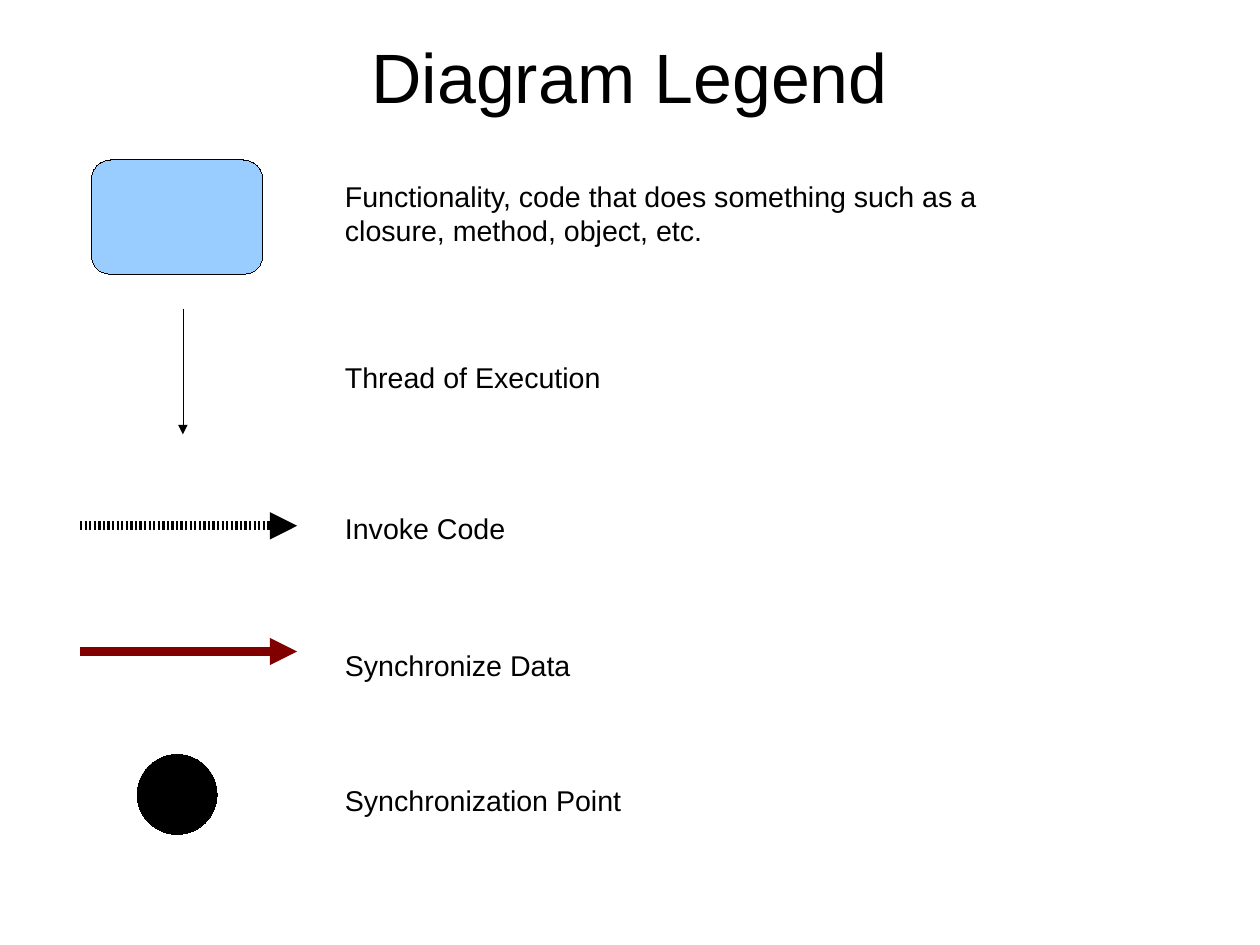
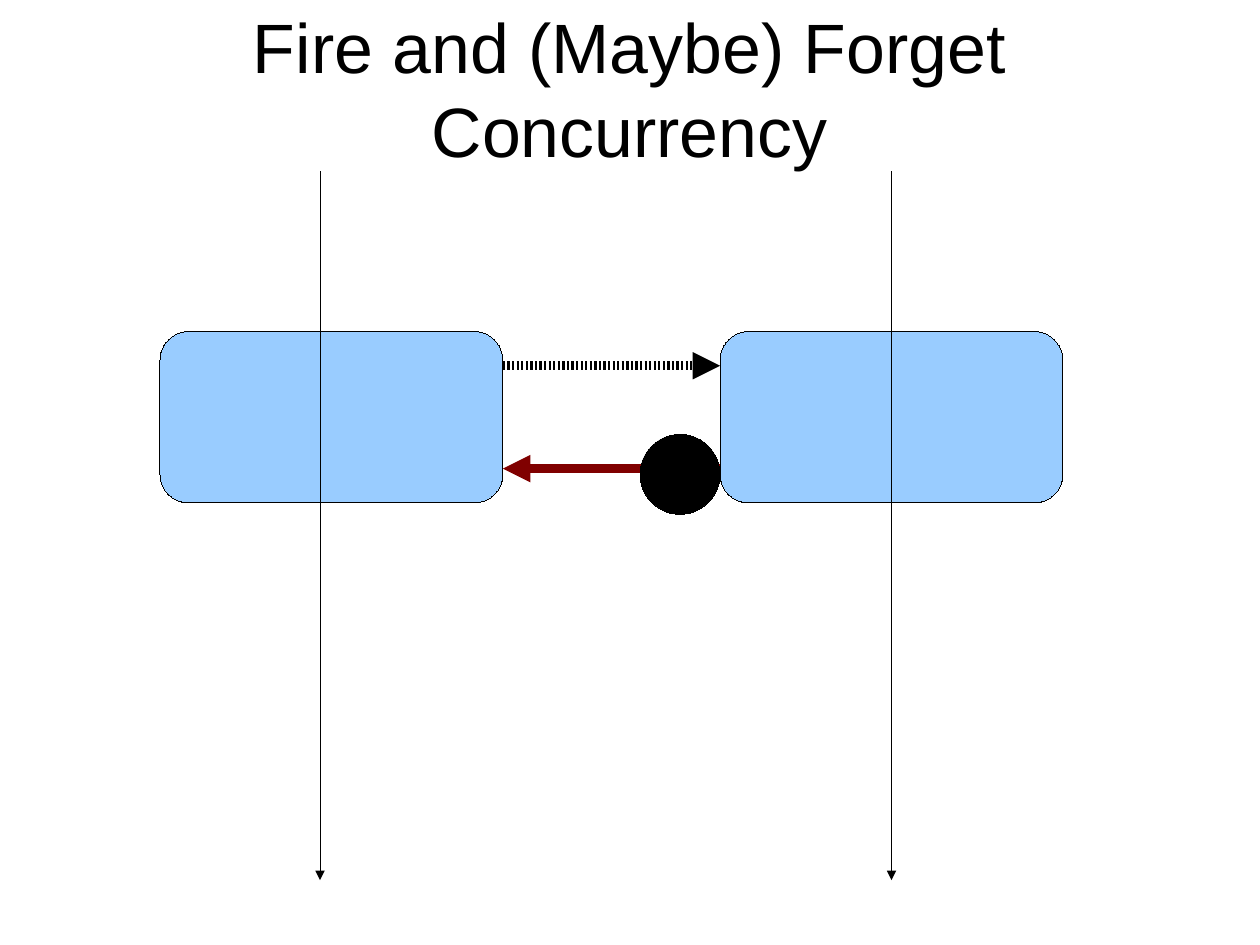
"""Build two slides: a legend of diagram symbols and a concurrency diagram."""
from lxml import etree
from pptx import Presentation
from pptx.dml.color import RGBColor
from pptx.enum.shapes import MSO_CONNECTOR, MSO_SHAPE
from pptx.enum.text import MSO_ANCHOR, PP_ALIGN
from pptx.oxml.ns import qn
from pptx.util import Pt

STRAIGHT = MSO_CONNECTOR.STRAIGHT
ROUNDED, OVAL = MSO_SHAPE.ROUNDED_RECTANGLE, MSO_SHAPE.OVAL
TOP, MIDDLE = MSO_ANCHOR.TOP, MSO_ANCHOR.MIDDLE
LEFT, CENTER = PP_ALIGN.LEFT, PP_ALIGN.CENTER

BLACK = RGBColor(0x00, 0x00, 0x00)
CODE_BLUE = RGBColor(0x99, 0xCC, 0xFF)
SYNC_RED = RGBColor(0x80, 0x00, 0x00)

FONT = "Arial"
SLIDE_WIDTH, SLIDE_HEIGHT = 793.7, 595.28
TITLE_LEFT, TITLE_WIDTH = 39.6, 714.24
SYNC_POINT_SIZE = 50.4
LABEL_LEFT = 208.8
HAIRLINE, THICK = 0.01, 5.75

ARROW_STYLES = {
    "thread": dict(color=BLACK, width=HAIRLINE),
    "invoke": dict(color=BLACK, width=THICK, dashed=True),
    "sync": dict(color=SYNC_RED, width=THICK),
}

LEGEND = {
    "title": ("Diagram Legend", 23.04, 48.96),
    "code": [(57.6, 100.8, 108, 72)],
    "arrows": [
        ("thread", 115.2, 194.4, 115.2, 273.6),
        ("invoke", 50.4, 331.2, 187.2, 331.2),
        ("sync", 50.4, 410.4, 187.2, 410.4),
    ],
    "sync_points": [(86.4, 475.2)],
    "labels": [
        ("Functionality, code that does something such as a closure, method, object, etc.",
         108, 453.6, 50.4),
        ("Thread of Execution", 221.76, 453.6, 30.24),
        ("Invoke Code", 316.8, 360, 30.24),
        ("Synchronize Data", 403.2, 417.6, 30.24),
        ("Synchronization Point", 488.16, 259.2, 30.24),
    ],
}

CONCURRENCY = {
    "title": ("Fire and (Maybe) Forget Concurrency", 5.76, 98.64),
    "code": [(left, 208.8, 216, 108) for left in (100.8, 453.6)],
    "arrows": [("thread", x, 108, x, 554.4) for x in (201.6, 561.6)] + [
        ("sync", 453.6, 295.2, 316.8, 295.2),
        ("invoke", 316.8, 230.4, 453.6, 230.4),
    ],
    "sync_points": [(403.2, 273.6)],
    "labels": [],
}


def add_text(slide, text, left, top, width, height, *, size=18,
             align=LEFT, anchor=TOP, inset_x=8.5, inset_y=4.75):
    frame = slide.shapes.add_textbox(Pt(left), Pt(top), Pt(width), Pt(height)).text_frame
    frame.word_wrap = True
    frame.vertical_anchor = anchor
    frame.margin_left = frame.margin_right = Pt(inset_x)
    frame.margin_top = frame.margin_bottom = Pt(inset_y)
    paragraph = frame.paragraphs[0]
    paragraph.alignment = align
    run = paragraph.add_run()
    run.text = text
    run.font.name = FONT
    run.font.size = Pt(size)
    run.font.color.rgb = BLACK


def add_symbol(slide, kind, left, top, width, height, color):
    symbol = slide.shapes.add_shape(kind, Pt(left), Pt(top), Pt(width), Pt(height))
    symbol.shadow.inherit = False
    symbol.fill.solid()
    symbol.fill.fore_color.rgb = color
    symbol.line.color.rgb = BLACK
    symbol.line.width = Pt(HAIRLINE)


def add_arrow(slide, x1, y1, x2, y2, *, color, width, dashed=False):
    arrow = slide.shapes.add_connector(STRAIGHT, Pt(x1), Pt(y1), Pt(x2), Pt(y2))
    arrow.line.color.rgb = color
    arrow.line.width = Pt(width)
    outline = arrow.line._get_or_add_ln()
    if dashed:
        pattern = etree.SubElement(outline, qn("a:custDash"))
        etree.SubElement(pattern, qn("a:ds"), d="25000", sp="25000")
    etree.SubElement(outline, qn("a:tailEnd"), type="triangle", w="med", len="med")
    etree.SubElement(arrow._element.spPr, qn("a:effectLst"))


def add_diagram(deck, diagram):
    slide = deck.slides.add_slide(deck.slide_layouts[6])
    title, top, height = diagram["title"]
    add_text(slide, title, TITLE_LEFT, top, TITLE_WIDTH, height, size=44,
             align=CENTER, anchor=MIDDLE, inset_x=0, inset_y=0)
    for box in diagram["code"]:
        add_symbol(slide, ROUNDED, *box, CODE_BLUE)
    for style, *ends in diagram["arrows"]:
        add_arrow(slide, *ends, **ARROW_STYLES[style])
    for left, top in diagram["sync_points"]:
        add_symbol(slide, OVAL, left, top, SYNC_POINT_SIZE, SYNC_POINT_SIZE, BLACK)
    for label, top, width, height in diagram["labels"]:
        add_text(slide, label, LABEL_LEFT, top, width, height)


def main():
    deck = Presentation()
    deck.slide_width, deck.slide_height = Pt(SLIDE_WIDTH), Pt(SLIDE_HEIGHT)
    for diagram in (LEGEND, CONCURRENCY):
        add_diagram(deck, diagram)
    deck.save("out.pptx")


if __name__ == "__main__":
    main()
